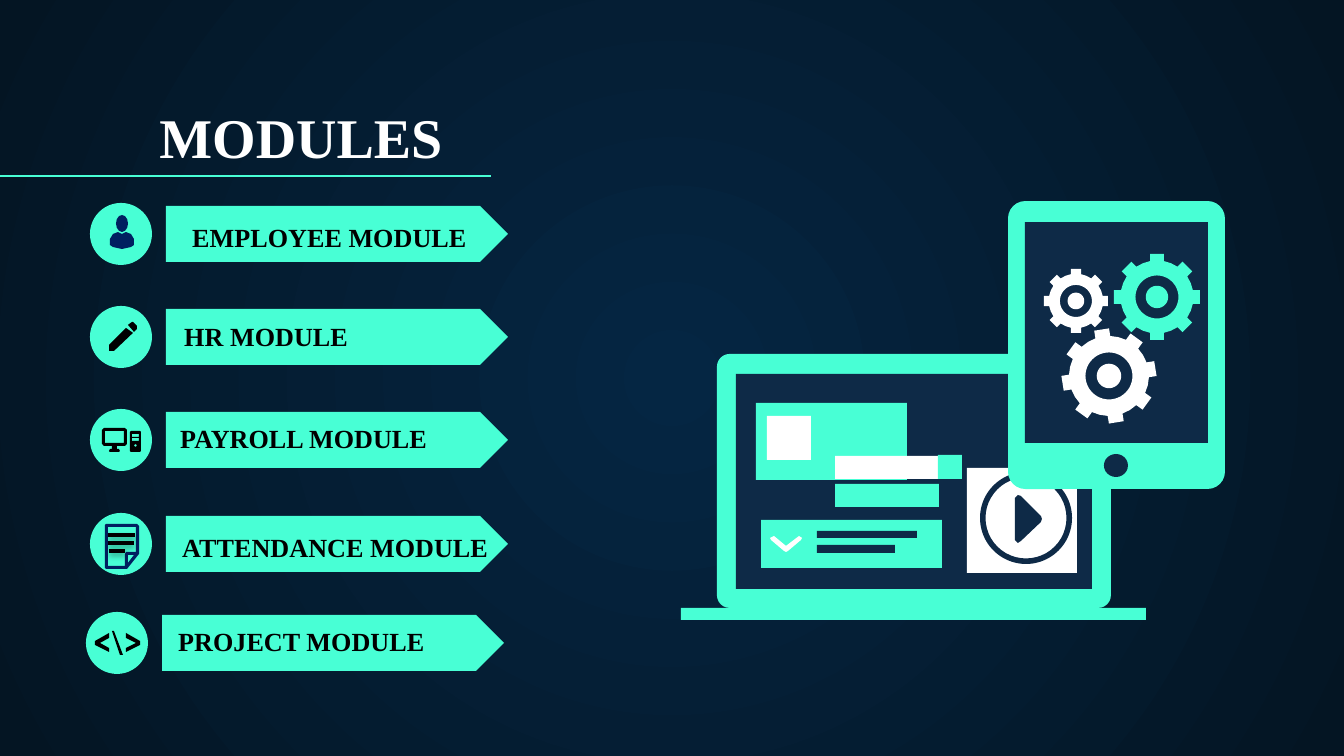
"""Build the modules slide: five labelled arrows beside a laptop and a tablet."""
from math import cos, pi, radians, sin, sqrt

from lxml import etree
from pptx import Presentation, util as u
from pptx.dml.color import RGBColor
from pptx.enum import shapes, text
from pptx.oxml import ns

PX = 914400 / 134.4
MINT = RGBColor(0x48, 0xFF, 0xD5)
NAVY = RGBColor(0x0E, 0x2A, 0x47)
INDIGO = RGBColor(0x00, 0x20, 0x60)
WHITE = RGBColor(0xFF, 0xFF, 0xFF)
BLACK = RGBColor(0x00, 0x00, 0x00)
GLOW = RGBColor(0x05, 0x26, 0x43)
NIGHT = RGBColor(0x04, 0x15, 0x23)

RECT = shapes.MSO_SHAPE.RECTANGLE
ROUND = shapes.MSO_SHAPE.ROUNDED_RECTANGLE
OVAL = shapes.MSO_SHAPE.OVAL
RING = shapes.MSO_SHAPE.DONUT
ARROW = shapes.MSO_SHAPE.PENTAGON

TITLE = ("MODULES", (146, 94, 1152, 89), 30, WHITE)
MODULES = [
    ("EMPLOYEE MODULE", (166, 206), (179, 210, 315)),
    ("HR MODULE", (166, 309), (171, 309, 333)),
    ("PAYROLL MODULE", (166, 412), (167, 411, 337)),
    ("ATTENDANCE MODULE", (166, 516), (169, 520, 344)),
    ("PROJECT MODULE", (162, 615), (165, 614, 333)),
]
ARROW_W, ARROW_H, DISC, DISC_DX, DISC_DY = 342, 56, 62, -76, -3

LAPTOP = [
    (ROUND, (717, 354, 394, 254), MINT, 0.05),
    (RECT, (736, 374, 356, 215), NAVY, None),
    (RECT, (681, 608, 465, 12), MINT, None),
    (RECT, (756, 403, 151, 77), MINT, None),
    (RECT, (767, 416, 44, 44), WHITE, None),
    (RECT, (761, 520, 181, 48), MINT, None),
    (RECT, (817, 531, 100, 7), NAVY, None),
    (RECT, (817, 545, 78, 8), NAVY, None),
    (RECT, (835, 484, 104, 23), MINT, None),
    (RECT, (835, 456, 104, 23), WHITE, None),
    (RECT, (938, 455, 24, 24), MINT, None),
    (RECT, (967, 468, 110, 105), WHITE, None),
    (RING, (980, 472, 92, 92), NAVY, 0.06),
]
TABLET = [
    (ROUND, (1008, 201, 217, 288), MINT, 0.08),
    (RECT, (1025, 222, 183, 221), NAVY, None),
    (OVAL, (1104, 454, 24, 23), NAVY, None),
]
GEARS = [((1157, 297), 43, 0, MINT), ((1076, 301), 32, 0, WHITE), ((1109, 376), 47, -9, WHITE)]
TEETH, BODY, HALF_TOOTH, HOLE, HUB = 8, 0.85, 0.16, 0.5, 0.26

LAPTOP_MARKS = [
    (WHITE, [[(774, 536), (786, 546), (799, 536), (802, 538), (801, 540), (788, 551),
              (786, 552), (784, 551), (771, 540), (770, 538)]]),
    (NAVY, [[(1015, 498), (1018, 495), (1021, 496), (1041, 516), (1042, 519), (1041, 522),
             (1021, 541), (1018, 543), (1015, 540)]]),
]
HEAD = (OVAL, (116, 215, 12, 17), INDIGO, None)
ICONS = [
    (INDIGO, [[(118, 232), (113, 234), (110, 239), (110, 245), (113, 247), (122, 249),
               (131, 247), (134, 245), (134, 239), (131, 234), (126, 232), (122, 234)]]),
    (BLACK, [[(132, 322), (128, 325), (134, 332), (137, 329), (137, 326), (133, 322)],
             [(126, 328), (109, 345), (109, 351), (114, 351), (133, 333)]]),
    (BLACK, [[(104, 428), (125, 428), (127, 430), (127, 444), (125, 446), (117, 446),
              (117, 449), (119, 449), (120, 451), (119, 452), (110, 452), (109, 451),
              (110, 449), (112, 449), (112, 446), (104, 446), (102, 444), (102, 430)],
             [(105, 431), (124, 431), (124, 443), (105, 443)]]),
    (BLACK, [[(131, 431), (140, 431), (141, 432), (141, 451), (140, 452), (131, 452),
              (130, 451), (130, 432)],
             [(132, 434), (139, 434), (139, 437), (132, 437)],
             [(132, 438), (139, 438), (139, 441), (132, 441)],
             [(135, 444), (137, 445), (136, 447), (134, 446)]]),
    (INDIGO, [[(106, 524), (137, 524), (139, 526), (139, 554), (127, 569), (106, 569),
               (105, 568), (105, 525)],
              [(108, 527), (136, 527), (136, 552), (126, 552), (125, 554), (125, 566), (108, 566)],
              [(134, 555), (128, 563), (128, 555)]]),
    (BLACK, [[(109, 652), (95, 645), (95, 641), (109, 633), (109, 638), (100, 643), (109, 648)]]),
    (BLACK, [[(120, 655), (112, 631), (114, 631), (123, 655)]]),
    (BLACK, [[(126, 652), (126, 648), (136, 643), (126, 638), (126, 633), (140, 641), (140, 645)]]),
]
DIVIDER = (0, 491, 176)
PAGE_LINES = [(108, 135, 535), (108, 134, 543), (109, 125, 551)]

INSET = u.Inches(0.1)
FRAME = {"word_wrap": True, "auto_size": text.MSO_AUTO_SIZE.NONE,
         "vertical_anchor": text.MSO_ANCHOR.BOTTOM, "margin_left": INSET,
         "margin_right": INSET, "margin_top": INSET, "margin_bottom": INSET}
FONT = {"name": "Times New Roman", "bold": True}


def emu(*lengths):
    return [round(n * PX) for n in lengths]


def assign(target, values):
    for key, value in values.items():
        setattr(target, key, value)


def paint(part, color):
    part.shadow.inherit = False
    part.fill.solid()
    part.fill.fore_color.rgb = color
    part.line.fill.background()


def add_part(slide, preset, box, color, adjust=None):
    part = slide.shapes.add_shape(preset, *emu(*box))
    paint(part, color)
    if adjust is not None:
        part.adjustments[0] = adjust


def add_outline(slide, color, contours):
    builder = None
    for contour in contours:
        start, *rest = [emu(*point) for point in contour]
        if builder is None:
            builder = slide.shapes.build_freeform(*start, scale=1.0)
        else:
            builder.move_to(*start)
        builder.add_line_segments(rest, close=True)
    paint(builder.convert_to_shape(), color)


def circle(center, radius, steps=48):
    return [(center[0] + radius * cos(2 * pi * i / steps),
             center[1] + radius * sin(2 * pi * i / steps)) for i in range(steps)]


def gear(center, radius, tilt):
    half, body = HALF_TOOTH * radius, BODY * radius
    root = sqrt(body ** 2 - half ** 2)
    rim = []
    for tooth in range(TEETH):
        angle = 2 * pi * tooth / TEETH + radians(tilt)
        c, s = cos(angle), sin(angle)
        for out, side in ((root, -half), (radius, -half), (radius, half), (root, half)):
            rim.append((center[0] + out * c - side * s, center[1] + out * s + side * c))
        gap = angle + pi / TEETH
        rim.append((center[0] + body * cos(gap), center[1] + body * sin(gap)))
    return [rim, circle(center, HOLE * radius), circle(center, HUB * radius)]


def add_rule(slide, left, right, y, color, weight, shaded=False):
    rule = slide.shapes.add_connector(shapes.MSO_CONNECTOR.STRAIGHT, *emu(left, y, right, y))
    rule.line.color.rgb = color
    rule.line.width = u.Pt(weight)
    effects = etree.SubElement(rule._element.spPr, ns.qn("a:effectLst"))
    if shaded:
        shade = etree.SubElement(effects, ns.qn("a:outerShdw"), blurRad=str(u.Pt(3.1)),
                                 dist=str(u.Pt(1.6)), dir="5400000", rotWithShape="0")
        tint = etree.SubElement(shade, ns.qn("a:srgbClr"), val=str(BLACK))
        etree.SubElement(tint, ns.qn("a:alpha"), val="38000")


def write(box, words, size, color):
    assign(box.text_frame, FRAME)
    line = box.text_frame.paragraphs[0]
    line.alignment = text.PP_ALIGN.LEFT
    run = line.add_run()
    run.text = words
    assign(run.font, {**FONT, "size": u.Pt(size)})
    run.font.color.rgb = color


def set_background(slide):
    fill = slide.background.fill
    fill.gradient()
    for stop, color, position in zip(fill.gradient_stops, (GLOW, NIGHT), (0, 1)):
        stop.color.rgb = color
        stop.position = position
    gradient = slide._element.xpath(".//p:bg//a:gradFill")[0]
    for linear in gradient.findall(ns.qn("a:lin")):
        gradient.remove(linear)
    radial = etree.SubElement(gradient, ns.qn("a:path"), path="circle")
    etree.SubElement(radial, ns.qn("a:fillToRect"), l="50000", t="50000", r="50000", b="50000")


def main():
    deck = Presentation()
    deck.slide_width, deck.slide_height = emu(1344, 756)
    slide = deck.slides.add_slide(deck.slide_layouts[5])
    set_background(slide)

    words, box, size, color = TITLE
    heading = slide.shapes.title
    assign(heading, dict(zip(("left", "top", "width", "height"), emu(*box))))
    write(heading, words, size, color)
    add_rule(slide, *DIVIDER, MINT, 0.75)

    for words, (x, y), label in MODULES:
        add_part(slide, ARROW, (x, y, ARROW_W, ARROW_H), MINT, 0.5)
        add_part(slide, OVAL, (x + DISC_DX, y + DISC_DY, DISC, DISC), MINT)
        write(slide.shapes.add_textbox(*emu(*label, ARROW_H)), words, 14, BLACK)

    for part in LAPTOP:
        add_part(slide, *part)
    for mark in LAPTOP_MARKS:
        add_outline(slide, *mark)
    for part in TABLET + [HEAD]:
        add_part(slide, *part)
    for center, radius, tilt, color in GEARS:
        add_outline(slide, color, gear(center, radius, tilt))
    for icon in ICONS:
        add_outline(slide, *icon)
    for line in PAGE_LINES:
        add_rule(slide, *line, BLACK, 2, shaded=True)
    deck.save("out.pptx")


if __name__ == "__main__":
    main()
